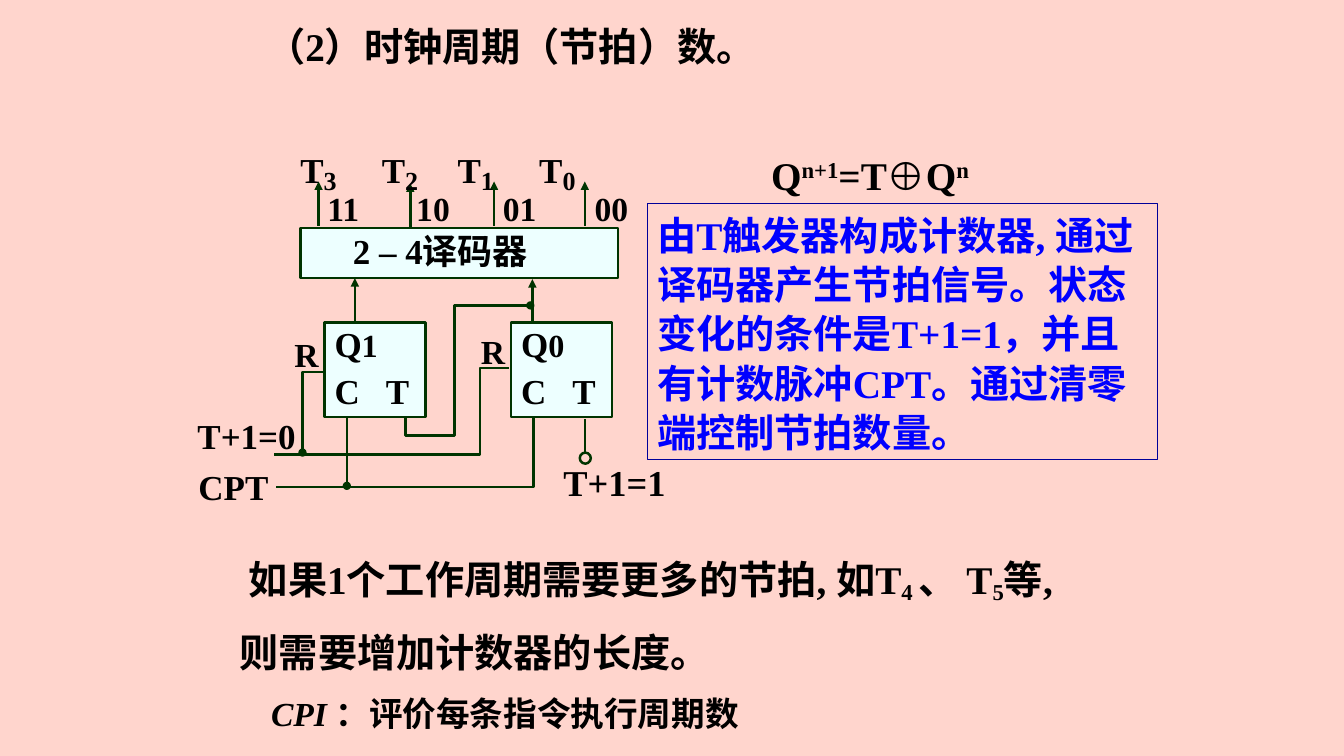
import pptx
import pptx.dml.color
import pptx.enum.shapes
import pptx.enum.text
import pptx.oxml
import pptx.oxml.ns
import pptx.util
from pptx.util import Inches

THEME = {
    "font": "Times New Roman",
    "background": "FFD5CD", "text": "000000", "note": "0000FF",
    "frame": "000099", "block": "EDFFFF", "wire": "003400",
    "heading": 28, "label": 25, "index": 32, "state": 23, "code": 24, "input": 26,
    "wire_width": 1.75, "frame_width": 0.75,
}
SUB, SUPER = -14000, 30000

# Content: a run is (text, formats), a paragraph is a list of runs
HEADING = "（2）时钟周期（节拍）数。"
NOTE = ("由T触发器构成计数器, 通过译码器产生节拍信号。状态变化的条件是T+1=1，"
        "并且有计数脉冲CPT。通过清零端控制节拍数量。")
EQUATION = [("Q", {}), ("n+1", {"baseline": SUPER}), ("=T⊕Q", {}), ("n", {"baseline": SUPER})]
SUMMARY = [("如果1个工作周期需要更多的节拍, 如T", {}), ("4 ", {"baseline": SUB}), ("、 T", {}),
           ("5", {"baseline": SUB}), ("等, 则需要增加计数器的长度。", {})]
CPI = [("CPI ", {"italic": True}), ("：评价每条指令执行周期数", {})]
DECODER = "2 – 4译码器"

# Decoder outputs: index, code, arrow x, name x, code x
OUTPUTS = [("3", "11", 3.16, 2.88, 3.15), ("2", "10", 4.07, 3.69, 4.03),
           ("1", "01", 4.9, 4.44, 4.89), ("0", "00", 5.8, 5.25, 5.8)]
# Flip-flops: state index, left, reset label left and top
FLIP_FLOPS = [("0", 5.07, 4.67, 3.23), ("1", 3.22, 2.82, 3.26)]
# Labels: text, left, top, width, height, size
LABELS = [("CPT", 1.87, 4.57, 1, 0.52, "label"), ("T+1=0", 1.86, 4.06, 1.22, 0.52, "label"),
          ("T+1=1", 5.49, 4.52, 1.23, 0.54, "input")]
# Bent wires: corner points, line ends
BENT_WIRES = [
    ([(2.74, 4.83), (5.29, 4.83), (5.29, 4.14)], {}),
    ([(5.05, 3.65), (4.76, 3.65), (4.76, 4.51), (2.72, 4.51)], {}),
    ([(3.25, 3.69), (3, 3.69), (3, 4.49)], {"tailEnd": "oval"}),
    ([(5.26, 3.03), (4.51, 3.03), (4.51, 4.32), (4.02, 4.32), (4.02, 4)], {"headEnd": "oval"}),
]
# Straight wires: x, start y, end y, line ends
STRAIGHT_WIRES = [
    (5.28, 3.2, 2.77, {"tailEnd": "triangle"}), (3.52, 3.19, 2.76, {"tailEnd": "triangle"}),
    (3.44, 4.13, 4.82, {"tailEnd": "oval"}), (5.8, 4.16, 4.5, {}),
]

presentation = pptx.Presentation()
presentation.slide_width, presentation.slide_height = Inches(13.33), Inches(7.5)
slide = presentation.slides.add_slide(presentation.slide_layouts[5])
shapes = slide.shapes


def color(name):
    return pptx.dml.color.RGBColor.from_string(THEME[name])


def add_xml(parent, tag, **attributes):
    element = pptx.oxml.parse_xml(f"<a:{tag} {pptx.oxml.ns.nsdecls('a')}/>")
    for name, value in attributes.items():
        element.set(name, str(value))
    parent.append(element)
    return element


def write(shape, paragraphs, size="heading", text_color="text", wrap=True, inset=0.1, formats=({},)):
    """Fill a shape with paragraphs; formats holds one dict per paragraph."""
    frame = shape.text_frame
    settings = {"word_wrap": wrap, "vertical_anchor": pptx.enum.text.MSO_ANCHOR.TOP,
                "auto_size": pptx.enum.text.MSO_AUTO_SIZE.NONE,
                "margin_left": Inches(inset), "margin_right": Inches(0.1),
                "margin_top": Inches(0.05), "margin_bottom": Inches(0.05)}
    for name, value in settings.items():
        setattr(frame, name, value)
    for number, (runs, paragraph_format) in enumerate(zip(paragraphs, formats)):
        paragraph = frame.paragraphs[0] if number == 0 else frame.add_paragraph()
        values = {"alignment": pptx.enum.text.PP_ALIGN.LEFT, "space_before": pptx.util.Pt(0),
                  **paragraph_format}
        for name, value in values.items():
            setattr(paragraph, name, value)
        for text, run_format in runs:
            run = paragraph.add_run()
            run.text = text
            values = {"name": THEME["font"], "bold": True, "italic": run_format.get("italic", False),
                      "size": pptx.util.Pt(THEME[run_format.get("size", size)])}
            for name, value in values.items():
                setattr(run.font, name, value)
            run.font.color.rgb = color(text_color)
            if "baseline" in run_format:
                run._r.get_or_add_rPr().set("baseline", str(run_format["baseline"]))


def add_text(runs, left, top, width, height, **options):
    box = shapes.add_textbox(*map(Inches, (left, top, width, height)))
    write(box, [runs], **options)


def style(shape, fill=None, line="wire", line_width="wire_width"):
    shape.shadow.inherit = False
    if fill:
        shape.fill.solid()
        shape.fill.fore_color.rgb = color(fill)
    else:
        shape.fill.background()
    shape.line.color.rgb = color(line)
    shape.line.width = pptx.util.Pt(THEME[line_width])


def add_block(left, top, width, height, kind="RECTANGLE", **options):
    preset = getattr(pptx.enum.shapes.MSO_SHAPE, kind)
    block = shapes.add_shape(preset, *map(Inches, (left, top, width, height)))
    style(block, **options)
    return block


def add_ends(line, ends):
    for tag, kind in ends.items():
        add_xml(line.get_or_add_ln(), tag, type=kind)


def add_straight_wire(x, start, end, ends):
    wire = shapes.add_connector(pptx.enum.shapes.MSO_CONNECTOR.STRAIGHT,
                                *map(Inches, (x, start, x, end)))
    wire.line.color.rgb = color("wire")
    wire.line.width = pptx.util.Pt(THEME["wire_width"])
    add_ends(wire, ends)
    add_xml(wire._element.spPr, "effectLst")


def add_bent_wire(points, ends):
    corners = [(Inches(x), Inches(y)) for x, y in points]
    builder = shapes.build_freeform(*corners[0])
    builder.add_line_segments(corners[1:], close=False)
    wire = builder.convert_to_shape()
    style(wire)
    add_ends(wire, ends)


# Background and heading
slide.background.fill.solid()
slide.background.fill.fore_color.rgb = color("background")
title = shapes.title
title.left, title.top, title.width, title.height = map(Inches, (2.54, 0.17, 7.99, 0.57))
write(title, [[(HEADING, {})]])

# Note and summary
note = add_block(6.42, 2.02, 5.06, 2.54, line="frame", line_width="frame_width")
write(note, [[(NOTE, {})]], text_color="note", formats=[{"line_spacing": 1.05}])
summary = shapes.add_textbox(*map(Inches, (2.28, 5.22, 8.71, 1.43)))
summary.text_frame.paragraphs[0]._p.get_or_add_pPr().set("indent", str(Inches(0.09)))
write(summary, [SUMMARY], formats=[{"line_spacing": 1.5}])

# Decoder
decoder = add_block(2.98, 2.26, 3.15, 0.5, fill="block")
write(decoder, [[(DECODER, {})]], size="label", inset=0.52, formats=[{"line_spacing": 0.95}])

# Wires
for straight_wire in STRAIGHT_WIRES:
    add_straight_wire(*straight_wire)
for bent_wire in BENT_WIRES:
    add_bent_wire(*bent_wire)
add_block(5.75, 4.49, 0.11, 0.11, kind="OVAL")

# Flip-flops with their reset labels
for index, left, reset_left, reset_top in FLIP_FLOPS:
    block = add_block(left, 3.2, 1, 0.94, fill="block")
    state = [("Q", {}), (index, {"size": "state"})]
    pins = [("C\tT", {})]
    write(block, [state, pins], size="label",
          formats=[{"line_spacing": 0.9}, {"space_before": pptx.util.Pt(3)}])
    tabs = add_xml(block.text_frame.paragraphs[1]._p.get_or_add_pPr(), "tabLst")
    add_xml(tabs, "tab", pos=Inches(0.51), algn="l")
    add_text([("R", {})], reset_left, reset_top, 0.49, 0.5, size="code")

# Decoder outputs
for index, code, arrow_x, name_x, code_x in OUTPUTS:
    arrow_start = 2.26 if index == "2" else 2.24
    add_straight_wire(arrow_x, arrow_start, arrow_start - 0.44, {"tailEnd": "triangle"})
    add_text([("T", {}), (index, {"size": "index", "baseline": SUB})],
             name_x, 1.33, 0.7, 0.52, size="label")
    add_text([(code, {})], code_x, 1.82, 0.53, 0.5, size="code", wrap=False)

# Labels, equation and closing line
for text, left, top, width, height, size in LABELS:
    add_text([(text, {})], left, top, width, height, size=size, wrap=False)
add_text(EQUATION, 7.55, 1.45, 2.34, 0.57, wrap=False)
add_text(CPI, 2.59, 6.83, 8.36, 0.5, size="code")

presentation.save("out.pptx")
